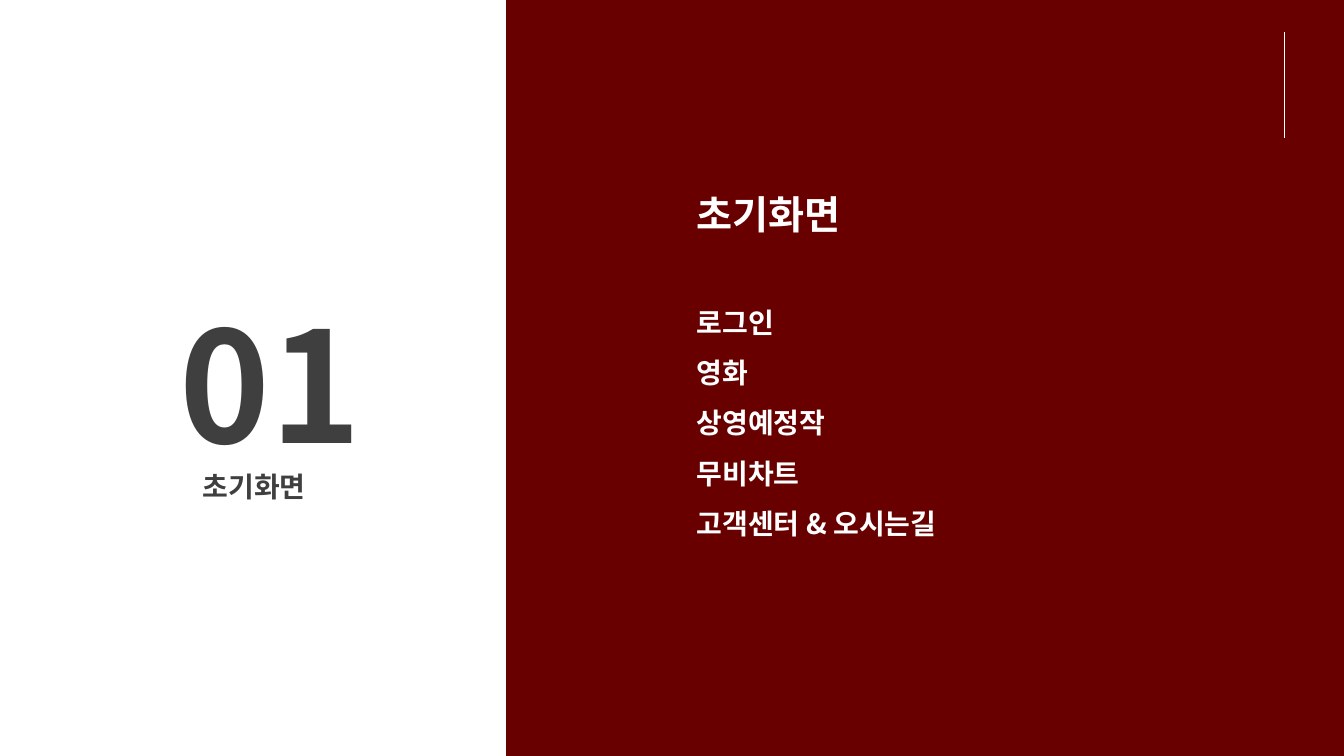
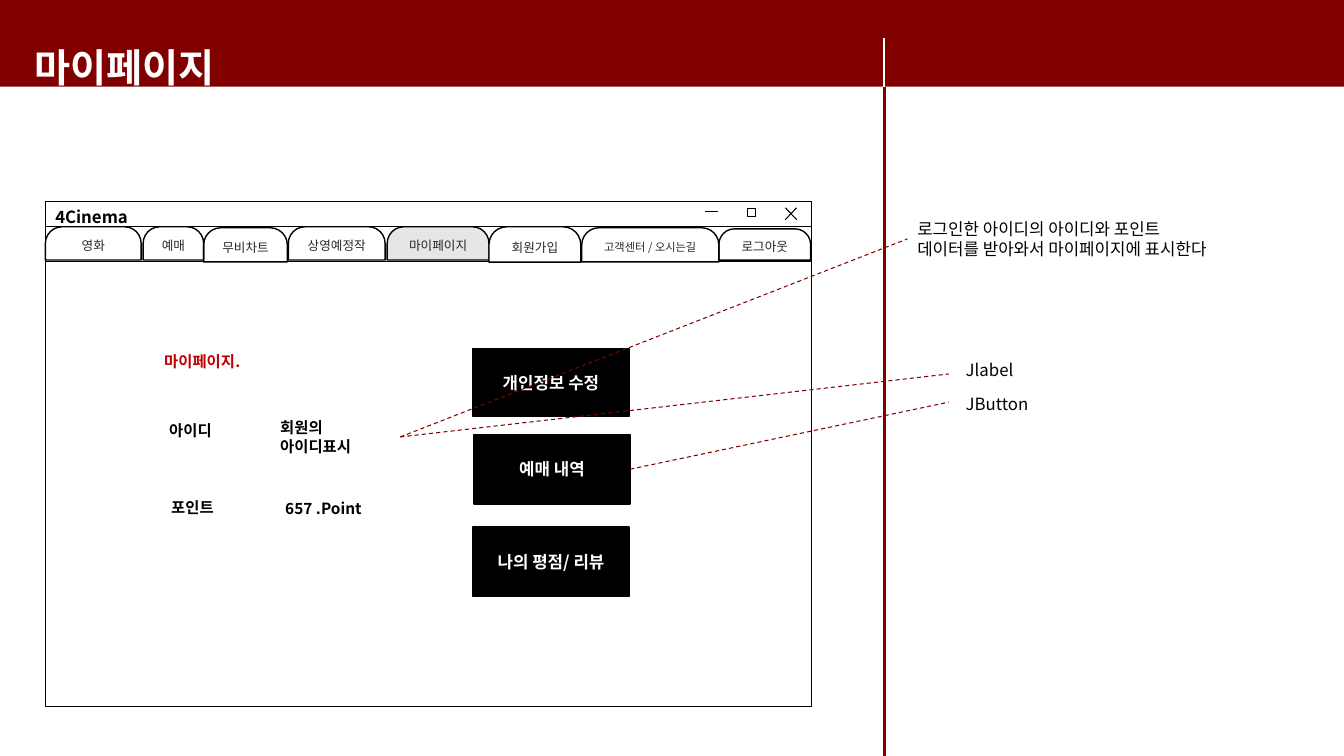
from lxml import etree
from pptx import Presentation
from pptx import util as u
from pptx.dml.color import RGBColor
from pptx.enum import dml, shapes, text
from pptx.oxml.ns import qn

FONT = "Noto Sans CJK KR"
DEEP_RED = RGBColor(0x68, 0x00, 0x00)
RED = RGBColor(0x80, 0x00, 0x00)
BRIGHT_RED = RGBColor(0xC0, 0x00, 0x00)
BLUE = RGBColor(0x44, 0x72, 0xC4)
WHITE = RGBColor(0xFF, 0xFF, 0xFF)
BLACK = RGBColor(0x00, 0x00, 0x00)
GRAY = RGBColor(0x3F, 0x3F, 0x3F)
TAB_TEXT = RGBColor(0x26, 0x26, 0x26)
TAB_ACTIVE = RGBColor(0xE7, 0xE6, 0xE6)

RECT = shapes.MSO_SHAPE.RECTANGLE
TAB = shapes.MSO_SHAPE.ROUND_2_SAME_RECTANGLE
CROSS = shapes.MSO_SHAPE.MATH_MULTIPLY
CENTER = text.PP_ALIGN.CENTER
HEADING = {"size": 28, "bold": True}


def add_block(slide, at, lines=(), kind=None, fill=None, outline=None, width=1,
              color=BLACK, size=12, bold=False, adjust=(), **paragraph_format):
    place = [u.Inches(n) for n in at]
    if kind is None:
        block = slide.shapes.add_textbox(*place)
    else:
        block = slide.shapes.add_shape(kind, *place)
        block.shadow.inherit = False
        for index, value in enumerate(adjust):
            block.adjustments[index] = value
        for part, shade in ((block.fill, fill), (block.line.fill, outline)):
            if shade is None:
                part.background()
            else:
                part.solid()
                part.fore_color.rgb = shade
        if outline is not None:
            block.line.width = u.Pt(width)
    frame = block.text_frame
    frame.word_wrap = True
    frame.vertical_anchor = text.MSO_ANCHOR.MIDDLE if kind else text.MSO_ANCHOR.TOP
    for index, words in enumerate(lines):
        paragraph = frame.add_paragraph() if index else frame.paragraphs[0]
        for name, value in paragraph_format.items():
            setattr(paragraph, name, value)
        run = paragraph.add_run()
        run.text = words
        for name, value in {"name": FONT, "size": u.Pt(size), "bold": bold}.items():
            setattr(run.font, name, value)
        run.font.color.rgb = color
        etree.SubElement(run.font._element, qn("a:ea")).set("typeface", FONT)
    return block


def add_rule(slide, start, end, color, width, dash=None):
    ends = [u.Inches(n) for n in (*start, *end)]
    rule = slide.shapes.add_connector(shapes.MSO_CONNECTOR.STRAIGHT, *ends)
    rule.line.color.rgb = color
    rule.line.width = u.Pt(width)
    if dash is not None:
        rule.line.dash_style = dash
    etree.SubElement(rule._element.spPr, qn("a:effectLst"))
    return rule


deck = Presentation()
deck.slide_width = u.Inches(13.33)
deck.slide_height = u.Inches(7.5)
blank = deck.slide_layouts[6]

section = deck.slides.add_slide(blank)
add_block(section, (5.02, -0.29, 8.65, 8), kind=RECT, fill=DEEP_RED)
add_block(section, (1.91, 4.44, 3.03, 0.54), ["초기화면"], color=GRAY, size=20,
          bold=True, line_spacing=1.5)
add_block(section, (1.68, 2.82, 2.75, 1.95), ["01"], color=GRAY, size=110, bold=True)
add_rule(section, (12.74, 0.32), (12.74, 1.37), WHITE, 0.75)
contents = add_block(
    section, (6.81, 1.61, 5.26, 4.28),
    ["초기화면", "로그인", "영화", "상영예정작", "무비차트", "고객센터 & 오시는길"],
    color=WHITE, size=20, bold=True, line_spacing=1.5)
contents_title = contents.text_frame.paragraphs[0]
contents_title.space_after = u.Pt(36)
contents_title.runs[0].font.size = u.Pt(HEADING["size"])

my_page = deck.slides.add_slide(blank)
add_block(my_page, (-0.18, 0, 13.83, 0.86), kind=RECT, fill=RED)
add_block(my_page, (0.24, 0.38, 3.96, 0.57), ["마이페이지"], color=WHITE, **HEADING)
add_rule(my_page, (8.77, 0.38), (8.77, 0.95), WHITE, 1.5)
add_rule(my_page, (8.77, 0.86), (8.77, 7.5), RED, 2.25)

add_block(my_page, (0.45, 2, 7.6, 5.01), kind=RECT, outline=BLACK)
for left, right, y, width in ((0.45, 8.05, 2.25, 1), (6.99, 7.12, 2.1, 0.75),
                              (0.45, 8.05, 2.59, 0.75)):
    add_rule(my_page, (left, y), (right, y), BLACK, width)
add_block(my_page, (7.41, 2.07, 0.08, 0.08), kind=RECT, outline=BLACK, width=0.75)
add_block(my_page, (0.45, 2, 1.23, 0.3), ["4Cinema"], bold=True,
          alignment=text.PP_ALIGN.JUSTIFY)

for label, left, top, width, height, fill, size in (
    ("영화", 0.45, 2.25, 0.95, 0.33, None, 9),
    ("예매", 1.42, 2.25, 0.6, 0.33, None, 9),
    ("무비차트", 2.02, 2.26, 0.83, 0.34, None, 9),
    ("상영예정작", 2.86, 2.25, 0.96, 0.33, None, 9),
    ("마이페이지", 3.84, 2.25, 1.01, 0.33, TAB_ACTIVE, 9),
    ("회원가입", 4.85, 2.25, 0.91, 0.35, WHITE, 9),
    ("로그아웃", 7.13, 2.27, 0.91, 0.31, None, 9),
    ("고객센터 / 오시는길", 5.77, 2.26, 1.36, 0.34, None, 8),
):
    add_block(my_page, (left, top, width, height), [label], kind=TAB, fill=fill,
              outline=BLACK, color=TAB_TEXT, size=size, adjust=(0.5, 0),
              alignment=CENTER)
add_block(my_page, (7.74, 2.01, 0.21, 0.22), kind=CROSS, fill=BLUE, outline=BLACK,
          width=0.75, adjust=(0,))

buttons = {}
for label, left, top, height in (("예매 내역", 4.7, 4.31, 0.69),
                                 ("나의 평점/ 리뷰", 4.69, 5.23, 0.69),
                                 ("개인정보 수정", 4.69, 3.46, 0.67)):
    buttons[label] = add_block(my_page, (left, top, 1.55, height), [label], kind=RECT,
                               fill=BLACK, outline=BLACK, color=WHITE, bold=True,
                               alignment=CENTER)

fields = {}
for label, at, color in (
    ("마이페이지.", (1.53, 3.44, 1.2, 0.29), BRIGHT_RED),
    ("포인트", (1.6, 4.89, 0.86, 0.47), BLACK),
    ("657 .Point", (2.73, 4.9, 1.25, 0.47), BLACK),
    ("회원의 아이디표시", (2.68, 4.1, 1.29, 0.47), BLACK),
    ("아이디", (1.58, 4.13, 0.86, 0.29), BLACK),
):
    fields[label] = add_block(my_page, at, [label], color=color, size=11, bold=True)

data_note = add_block(my_page, (9, 2.12, 3.87, 0.5),
                      ["로그인한 아이디의 아이디와 포인트",
                       "데이터를 받아와서 마이페이지에 표시한다"])
for label, top in (("Jlabel", 3.52), ("JButton", 3.86)):
    add_block(my_page, (9.48, top, 3.2, 0.3), [label])

member_id = fields["회원의 아이디표시"]
for source, start, end, target in (
    (member_id, (3.97, 4.34), (9, 2.37), data_note),
    (buttons["예매 내역"], (6.25, 4.66), (9.41, 3.99), None),
    (member_id, (3.97, 4.34), (9.41, 3.71), None),
):
    callout = add_rule(my_page, start, end, RED, 0.75, dml.MSO_LINE.DASH)
    callout.begin_connect(source, 3)
    if target is not None:
        callout.end_connect(target, 1)

deck.save("out.pptx")
